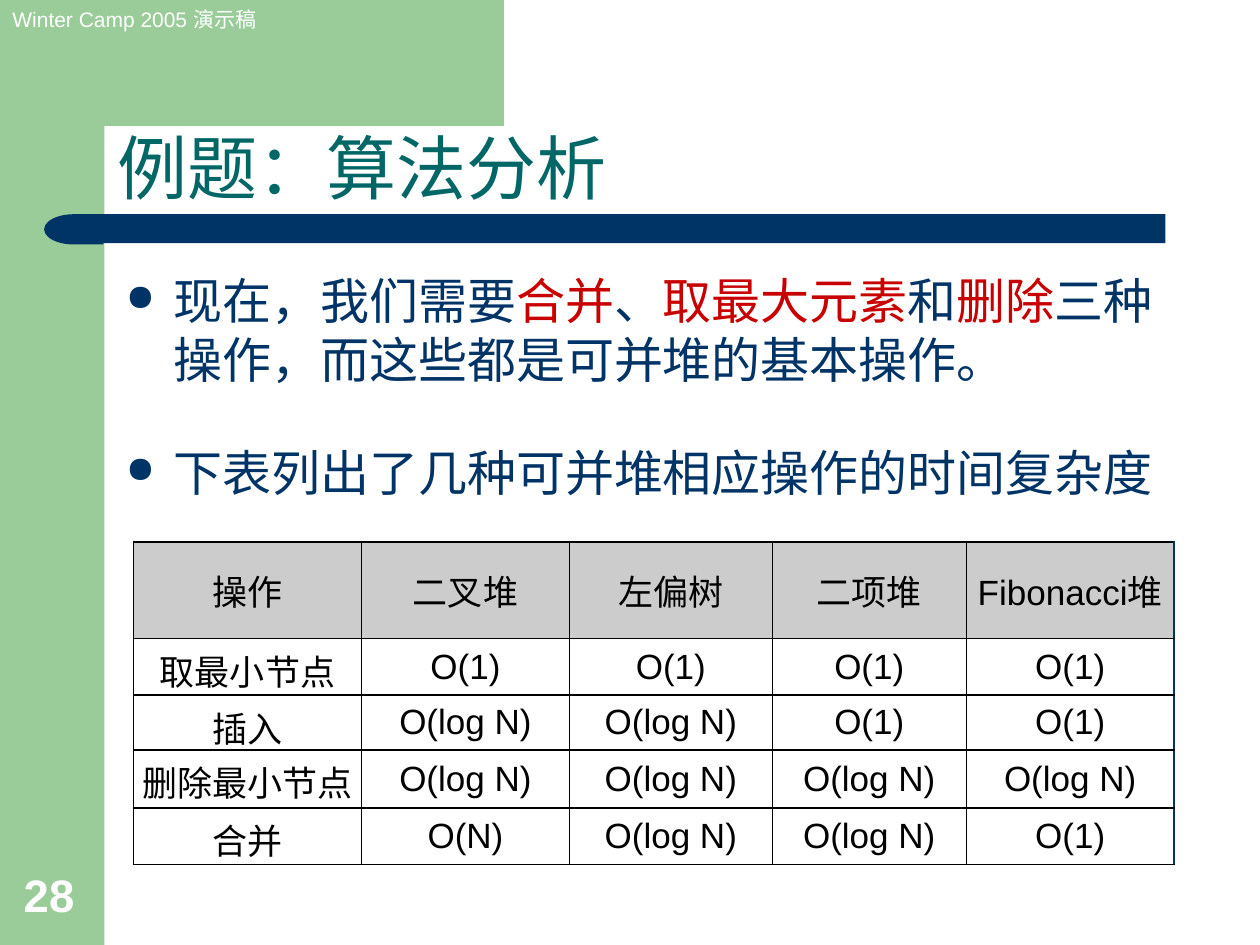
"""Build the slide on the time complexity of mergeable heaps."""
import math
from lxml import etree
from pptx import Presentation
from pptx import util as u
from pptx.dml.color import RGBColor
from pptx.enum import shapes, text
from pptx.oxml.ns import qn

COLORS = {"green": "99CC99", "navy": "003366", "teal": "006666", "red": "C80000",
          "white": "FFFFFF", "black": "000000", "gray": "CCCCCC"}
FONT = "Arial"


def write(paragraph, content, size, color, bold=False, align=None):
    """Add a run to the paragraph in the given format."""
    run = paragraph.add_run()
    run.text = content
    run.font.name, run.font.size, run.font.bold = FONT, u.Pt(size), bold
    run.font.color.rgb = RGBColor.from_string(COLORS[color])
    if align is not None:
        paragraph.alignment = align


def add_border(cell, side, color, width):
    """Draw one side of a table cell."""
    line = etree.SubElement(cell._tc.get_or_add_tcPr(), qn(f"a:ln{side}"), w=str(u.Pt(width)))
    fill = etree.SubElement(line, qn("a:solidFill"))
    etree.SubElement(fill, qn("a:srgbClr"), val=COLORS[color])


presentation = Presentation()
presentation.slide_width, presentation.slide_height = u.Inches(10), u.Inches(7.5)
slide = presentation.slides.add_slide(presentation.slide_layouts[5])

band_width = 0.83
radius = 0.33
corner = band_width + radius
arc = [(corner - radius * math.sin(math.radians(angle)),
        corner - radius * math.cos(math.radians(angle))) for angle in range(0, 91, 5)]
outline = [(3.5, 0), (3.5, band_width), *arc, (band_width, 1.28), (0.5, 1.28), (0.5, 0)]
builder = slide.shapes.build_freeform(*outline[0], scale=u.Inches(1))
builder.add_line_segments(outline[1:], close=True)
header = builder.convert_to_shape()

kinds = shapes.MSO_SHAPE
decorations = [(header, "green")]
for kind, box, color in [
    (kinds.RECTANGLE, (0, 0, band_width, 7.5), "green"),
    (kinds.RECTANGLE, (0.81, 1.7, 8.44, 0.23), "navy"),
    (kinds.FLOWCHART_DELAY, (0.35, 1.7, 0.47, 0.24), "navy"),
]:
    shape = slide.shapes.add_shape(kind, *map(u.Inches, box))
    if kind == kinds.FLOWCHART_DELAY:
        shape.rotation = 180
    decorations.append((shape, color))
for shape, color in decorations:
    shape.shadow.inherit = False
    shape.fill.solid()
    shape.fill.fore_color.rgb = RGBColor.from_string(COLORS[color])
    shape.line.fill.background()

title = slide.shapes.title
title.left, title.top, title.width, title.height = map(u.Inches, (band_width, 0.84, 8.51, 0.87))
title.text_frame.vertical_anchor = text.MSO_ANCHOR.BOTTOM
title.text_frame.auto_size = text.MSO_AUTO_SIZE.NONE
paragraph = title.text_frame.paragraphs[0]
paragraph.line_spacing = 0.9
write(paragraph, "例题：算法分析", size=40, color="teal", align=text.PP_ALIGN.LEFT)

for box, content, size, bold, anchor in [
    ((0, 0, 2.28, 0.3), "Winter Camp 2005 演示稿", 12, False, text.MSO_ANCHOR.TOP),
    ((0.09, 6.83, 0.64, 0.53), "28", 26, True, text.MSO_ANCHOR.BOTTOM),
]:
    frame = slide.shapes.add_textbox(*map(u.Inches, box)).text_frame
    frame.word_wrap = True
    frame.vertical_anchor = anchor
    write(frame.paragraphs[0], content, size=size, color="white", bold=bold)

body = slide.shapes.add_textbox(*map(u.Inches, (0.9, 2.1, 8.51, 1.96))).text_frame
body.word_wrap = True
bullets = [
    [("现在，我们需要", "navy"), ("合并", "red"), ("、", "navy"), ("取最大元素", "red"),
     ("和", "navy"), ("删除", "red"), ("三种操作，而这些都是可并堆的基本操作。", "navy")],
    [("下表列出了几种可并堆相应操作的时间复杂度", "navy")],
]
for index, pieces in enumerate(bullets):
    paragraph = body.add_paragraph() if index else body.paragraphs[0]
    paragraph.space_before = u.Pt(31 * index)
    properties = paragraph._p.get_or_add_pPr()
    properties.set("marL", str(u.Inches(0.38)))
    properties.set("indent", str(u.Inches(-0.38)))
    bullet_color = etree.SubElement(properties, qn("a:buClr"))
    etree.SubElement(bullet_color, qn("a:srgbClr"), val=COLORS["navy"])
    etree.SubElement(properties, qn("a:buSzPct"), val="75000")
    etree.SubElement(properties, qn("a:buChar"), char="●")
    for content, color in pieces:
        write(paragraph, content, size=28, color=color)

rows = [
    ["操作", "二叉堆", "左偏树", "二项堆", "Fibonacci堆"],
    ["取最小节点", "O(1)", "O(1)", "O(1)", "O(1)"],
    ["插入", "O(log N)", "O(log N)", "O(1)", "O(1)"],
    ["删除最小节点", "O(log N)", "O(log N)", "O(log N)", "O(log N)"],
    ["合并", "O(N)", "O(log N)", "O(log N)", "O(1)"],
]
widths = [1.81, 1.65, 1.61, 1.54, 1.65]
heights = [0.47, 0.45, 0.43, 0.46, 0.45]
table = slide.shapes.add_table(len(rows), len(widths), *map(
    u.Inches, (1.06, 4.3, sum(widths), sum(heights)))).table
table.horz_banding = table.first_row = False
for column, width in zip(table.columns, widths):
    column.width = u.Inches(width)
for row_index, (values, height) in enumerate(zip(rows, heights)):
    table.rows[row_index].height = u.Inches(height)
    for column_index, value in enumerate(values):
        cell = table.cell(row_index, column_index)
        cell.margin_left = cell.margin_right = u.Inches(0.06)
        cell.margin_top = cell.margin_bottom = u.Inches(0.05)
        cell.vertical_anchor = text.MSO_ANCHOR.MIDDLE
        for side in "LRTB":
            outer = side == "R" and column_index == len(widths) - 1
            add_border(cell, side, "navy" if outer else "black", 1.5 if outer else 1)
        if row_index == 0:
            cell.fill.solid()
            cell.fill.fore_color.rgb = RGBColor.from_string(COLORS["gray"])
        else:
            cell.fill.background()
        write(cell.text_frame.paragraphs[0], value, size=20, color="black",
              align=text.PP_ALIGN.CENTER)

presentation.save("out.pptx")
